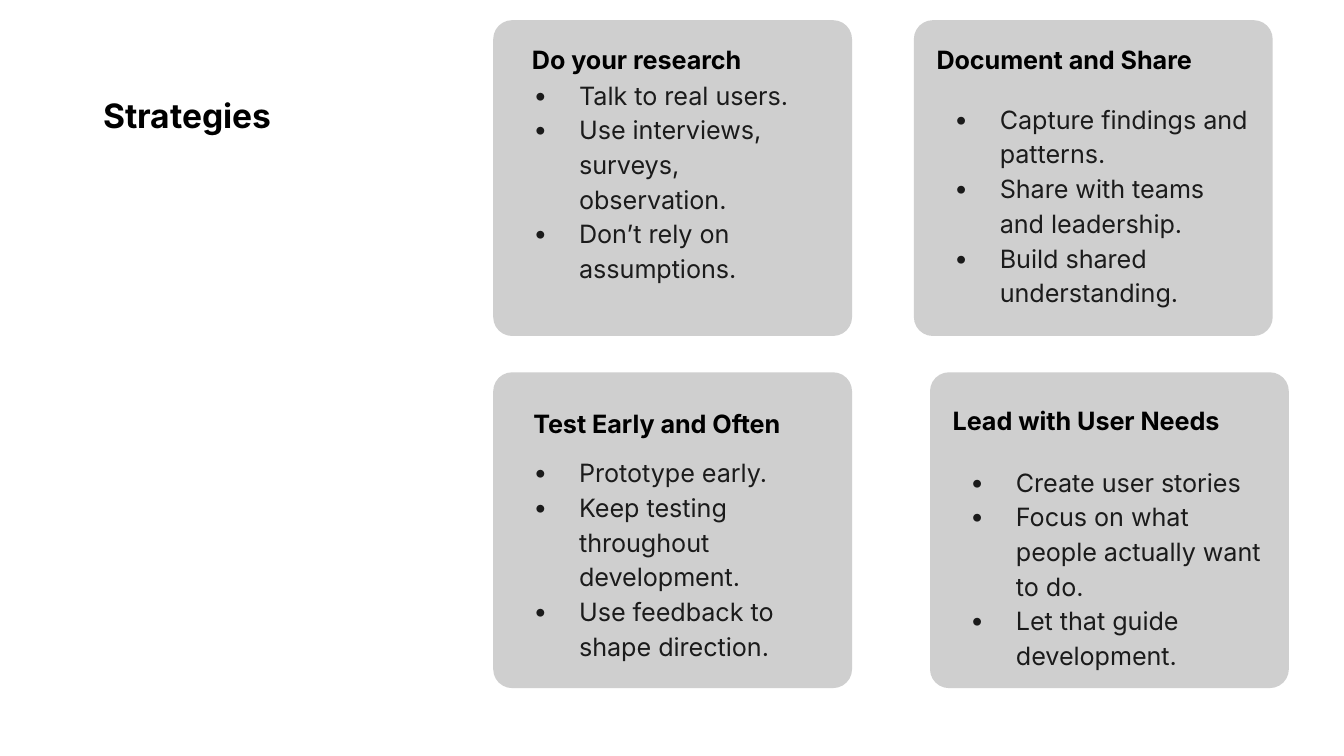
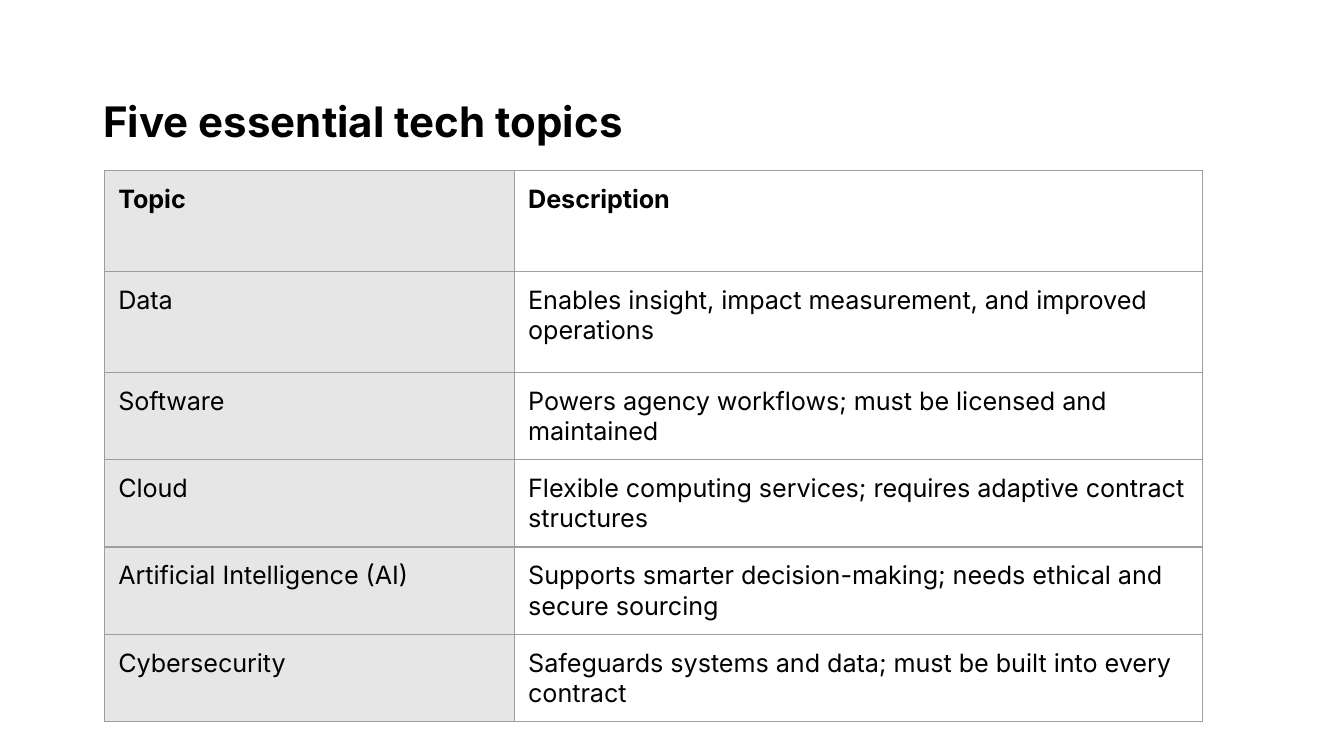
from dataclasses import dataclass

from lxml.etree import SubElement
from pptx import Presentation
from pptx.dml.color import RGBColor
from pptx.enum.shapes import MSO_SHAPE
from pptx.enum.text import MSO_ANCHOR, PP_ALIGN
from pptx.oxml.ns import qn
from pptx.util import Inches, Pt


@dataclass(frozen=True)
class Theme:
    font: str = "Inter"
    heading_color: RGBColor = RGBColor(0, 0, 0)
    bullet_color: RGBColor = RGBColor(0x1B, 0x1B, 0x1B)
    card_fill: RGBColor = RGBColor(0xCF, 0xCF, 0xCF)
    topic_fill: RGBColor = RGBColor(0xE7, 0xE6, 0xE6)
    border: RGBColor = RGBColor(0x9E, 0x9E, 0x9E)
    border_width: float = 0.75
    body_size: float = 13.5
    strategies_title_size: float = 18
    topics_title_size: float = 22.5


THEME = Theme()
SLIDE_WIDTH = Inches(10)
SLIDE_HEIGHT = SLIDE_WIDTH * 9 // 16
CARD_WIDTH, CARD_HEIGHT = 2.67, 2.35
MARGIN = Inches(0.1)


@dataclass(frozen=True)
class Strategy:
    heading: str
    actions: tuple
    card_at: tuple
    heading_box: tuple
    first_action_offset: float


STRATEGIES = [
    Strategy("Do your research",
             ("Talk to real users.",
              "Use interviews, surveys, observation.",
              "Don’t rely on assumptions."),
             (3.67, 0.15), (3.86, 0.28, 2.36, 0.25), 0.41),
    Strategy("Document and Share",
             ("Capture findings and patterns.",
              "Share with teams and leadership.",
              "Build shared understanding."),
             (6.8, 0.15), (6.87, 0.28, 2.7, 0.25), 0.59),
    Strategy("Test Early and Often",
             ("Prototype early.",
              "Keep testing throughout development.",
              "Use feedback to shape direction."),
             (3.67, 2.77), (3.87, 2.99, 2.7, 0.25), 0.6),
    Strategy("Lead with User Needs",
             ("Create user stories",
              "Focus on what people actually want to do.",
              "Let that guide development."),
             (6.92, 2.77), (6.99, 2.8, 2.7, 0.58), 0.67),
]

TOPICS = [
    ("Topic", "Description"),
    ("Data", "Enables insight, impact measurement, and improved operations"),
    ("Software", "Powers agency workflows; must be licensed and maintained"),
    ("Cloud", "Flexible computing services; requires adaptive contract structures"),
    ("Artificial Intelligence (AI)",
     "Supports smarter decision-making; needs ethical and secure sourcing"),
    ("Cybersecurity",
     "Safeguards systems and data; must be built into every contract"),
]
TOPIC_COLUMNS = (3.05, 5.12)
TOPIC_ROWS = (0.75, 0.75, 0.6, 0.6, 0.6, 0.6)


def add_run(paragraph, text, size=THEME.body_size, color=THEME.heading_color, bold=False):
    run = paragraph.add_run()
    run.text = text
    run.font.name = THEME.font
    run.font.size = Pt(size)
    run.font.bold = bold
    run.font.color.rgb = color


def add_heading(slide, text, box, size, line_spacing):
    """Add one bold line, centred vertically in its box."""
    frame = slide.shapes.add_textbox(*map(Inches, box)).text_frame
    frame.word_wrap = True
    frame.vertical_anchor = MSO_ANCHOR.MIDDLE
    paragraph = frame.paragraphs[0]
    paragraph.line_spacing = line_spacing
    add_run(paragraph, text, size, bold=True)


def make_bullet(paragraph):
    properties = paragraph._p.get_or_add_pPr()
    properties.set("marL", str(Inches(0.5)))
    properties.set("indent", str(Inches(-0.34)))
    color = SubElement(properties, qn("a:buClr"))
    SubElement(color, qn("a:srgbClr"), val=str(THEME.bullet_color))
    SubElement(properties, qn("a:buFont"), typeface=THEME.font)
    SubElement(properties, qn("a:buChar"), char="•")


def add_strategy_card(slide, strategy):
    card = slide.shapes.add_shape(
        MSO_SHAPE.ROUNDED_RECTANGLE,
        *map(Inches, (*strategy.card_at, CARD_WIDTH, CARD_HEIGHT)))
    card.adjustments[0] = 0.06
    card.shadow.inherit = False
    card.fill.solid()
    card.fill.fore_color.rgb = THEME.card_fill
    card.line.fill.background()

    frame = card.text_frame
    frame.word_wrap = True
    frame.vertical_anchor = MSO_ANCHOR.TOP
    frame.margin_left = frame.margin_right = frame.margin_bottom = MARGIN
    # The rounded corners already push the text down a little.
    frame.margin_top = Inches(strategy.first_action_offset - 0.04)
    for index, action in enumerate(strategy.actions):
        paragraph = frame.add_paragraph() if index else frame.paragraphs[0]
        make_bullet(paragraph)
        paragraph.alignment = PP_ALIGN.LEFT
        paragraph.line_spacing = 1.15
        add_run(paragraph, action, color=THEME.bullet_color)

    add_heading(slide, strategy.heading, strategy.heading_box, THEME.body_size, 1.32)


def add_cell_borders(cell):
    properties = cell._tc.get_or_add_tcPr()
    for position, side in enumerate(("a:lnL", "a:lnR", "a:lnT", "a:lnB")):
        line = properties.makeelement(qn(side), {"w": str(Pt(THEME.border_width))})
        fill = SubElement(line, qn("a:solidFill"))
        SubElement(fill, qn("a:srgbClr"), val=str(THEME.border))
        properties.insert(position, line)


def fill_topic_cell(cell, text, is_header, is_topic):
    cell.margin_left = cell.margin_right = MARGIN
    cell.margin_top = cell.margin_bottom = MARGIN
    if is_topic:
        cell.fill.solid()
        cell.fill.fore_color.rgb = THEME.topic_fill
    else:
        cell.fill.background()
    add_cell_borders(cell)
    add_run(cell.text_frame.paragraphs[0], text, bold=is_header)


def add_topic_table(slide, left, top):
    table = slide.shapes.add_table(
        len(TOPICS), len(TOPIC_COLUMNS), Inches(left), Inches(top),
        Inches(sum(TOPIC_COLUMNS)), Inches(sum(TOPIC_ROWS))).table
    table.first_row = table.horz_banding = False
    for column, width in zip(table.columns, TOPIC_COLUMNS):
        column.width = Inches(width)
    for row_index, (row, height) in enumerate(zip(table.rows, TOPIC_ROWS)):
        row.height = Inches(height)
        for column_index, text in enumerate(TOPICS[row_index]):
            fill_topic_cell(row.cells[column_index], text,
                            is_header=row_index == 0, is_topic=column_index == 0)


def main():
    deck = Presentation()
    deck.slide_width, deck.slide_height = SLIDE_WIDTH, SLIDE_HEIGHT
    blank = deck.slide_layouts[6]

    strategies = deck.slides.add_slide(blank)
    add_heading(strategies, "Strategies", (0.67, 0.68, 2.84, 0.3),
                THEME.strategies_title_size, 1.2)
    for strategy in STRATEGIES:
        add_strategy_card(strategies, strategy)

    topics = deck.slides.add_slide(blank)
    add_heading(topics, "Five essential tech topics", (0.67, 0.67, 4.2, 0.38),
                THEME.topics_title_size, 1.2)
    add_topic_table(topics, 0.78, 1.27)

    deck.save("out.pptx")


if __name__ == "__main__":
    main()
